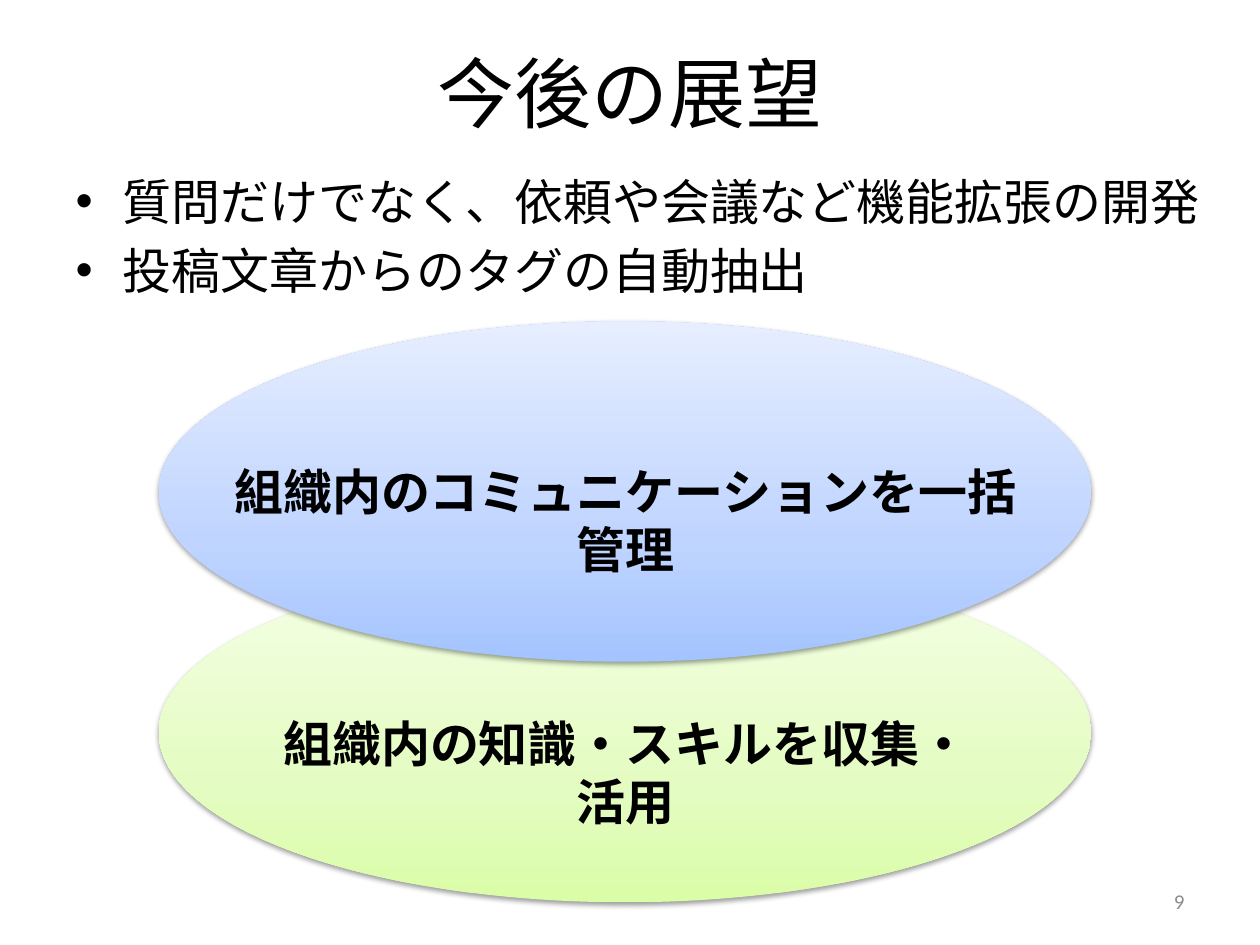
from lxml import etree
from pptx import Presentation
from pptx.dml.color import RGBColor
from pptx.enum import shapes, text
from pptx.oxml import ns
from pptx.util import Cm, Pt

BLACK = RGBColor(0x00, 0x00, 0x00)
GREY = RGBColor(0x8C, 0x8C, 0x8C)
# Gradient colours run from the bottom to the top
GREENS = [RGBColor(0xDA, 0xFD, 0xA7), RGBColor(0xE4, 0xFC, 0xC2), RGBColor(0xF5, 0xFF, 0xE7)]
BLUES = [RGBColor(0xA4, 0xC4, 0xFF), RGBColor(0xBF, 0xD4, 0xFF), RGBColor(0xE6, 0xEE, 0xFF)]
STOPS = [0, 35, 100]
FONT = "Calibri"


def place(shape, left, top, width, height):
    shape.left, shape.top = Cm(left), Cm(top)
    shape.width, shape.height = Cm(width), Cm(height)


def write(shape, lines, size=28, color=BLACK, bold=False, align=None,
          anchor=text.MSO_ANCHOR.TOP):
    frame = shape.text_frame
    frame.text = "\n".join(lines)
    frame.word_wrap = True
    frame.auto_size = text.MSO_AUTO_SIZE.NONE
    frame.vertical_anchor = anchor
    for paragraph in frame.paragraphs:
        paragraph.alignment = align
        font = paragraph.runs[0].font
        font.name, font.size, font.bold = FONT, Pt(size), bold
        font.color.rgb = color


def add_label(slide, box, content, **style):
    label = slide.shapes.add_textbox(*map(Cm, box))
    write(label, [content], **style)


def add_child(parent, tag, **attributes):
    child = etree.SubElement(parent, ns.qn(tag))
    for name, value in attributes.items():
        child.set(name, str(value))
    return child


def add_ellipse(slide, top, colors):
    ellipse = slide.shapes.add_shape(
        shapes.MSO_SHAPE.OVAL, Cm(3.2), Cm(top), Cm(18.8), Cm(6.86))
    ellipse.line.fill.background()
    ellipse.shadow.inherit = False

    # Three-stop gradient
    ellipse.fill.gradient()
    ellipse.fill.gradient_angle = 90
    properties = ellipse.element.spPr
    stop_list = properties.find(".//" + ns.qn("a:gsLst"))
    for stop in list(stop_list):
        stop_list.remove(stop)
    for position, color in zip(STOPS, colors):
        stop = add_child(stop_list, "a:gs", pos=position * 1000)
        add_child(stop, "a:srgbClr", val=color)
    properties.find(".//" + ns.qn("a:lin")).set("ang", str(270 * 60000))

    # Soft shadow below
    effects = properties.find(ns.qn("a:effectLst"))
    shadow = add_child(effects, "a:outerShdw", blurRad=Pt(3.1), dist=Pt(1.6),
                       dir=90 * 60000, rotWithShape=0)
    shadow_color = add_child(shadow, "a:srgbClr", val=BLACK)
    add_child(shadow_color, "a:alpha", val=38000)


def main():
    presentation = Presentation()
    presentation.slide_width, presentation.slide_height = Cm(25.4), Cm(19.05)
    slide = presentation.slides.add_slide(presentation.slide_layouts[1])
    center, middle = text.PP_ALIGN.CENTER, text.MSO_ANCHOR.MIDDLE

    # Title and bullet list
    title, body = slide.placeholders
    place(title, 1.27, 0.76, 22.86, 2.16)
    write(title, ["今後の展望"], size=44, align=center, anchor=middle)
    place(body, 1.27, 3.33, 23.42, 3.2)
    write(body, ["質問だけでなく、依頼や会議など機能拡張の開発",
                 "投稿文章からのタグの自動抽出"])

    # Overlapping ellipses, blue in front
    add_ellipse(slide, 11.33, GREENS)
    add_ellipse(slide, 6.48, BLUES)

    # Ellipse labels
    add_label(slide, (4.98, 14.25, 15.27, 1.45), "組織内の知識・スキルを収集・活用",
              bold=True, align=center)
    add_label(slide, (4.17, 9.17, 16.87, 1.45), "組織内のコミュニケーションを一括管理",
              bold=True, align=center)

    # Slide number
    add_label(slide, (18.2, 17.65, 5.93, 1.02), "9", size=12, color=GREY,
              align=text.PP_ALIGN.RIGHT, anchor=middle)

    presentation.save("out.pptx")


if __name__ == "__main__":
    main()
